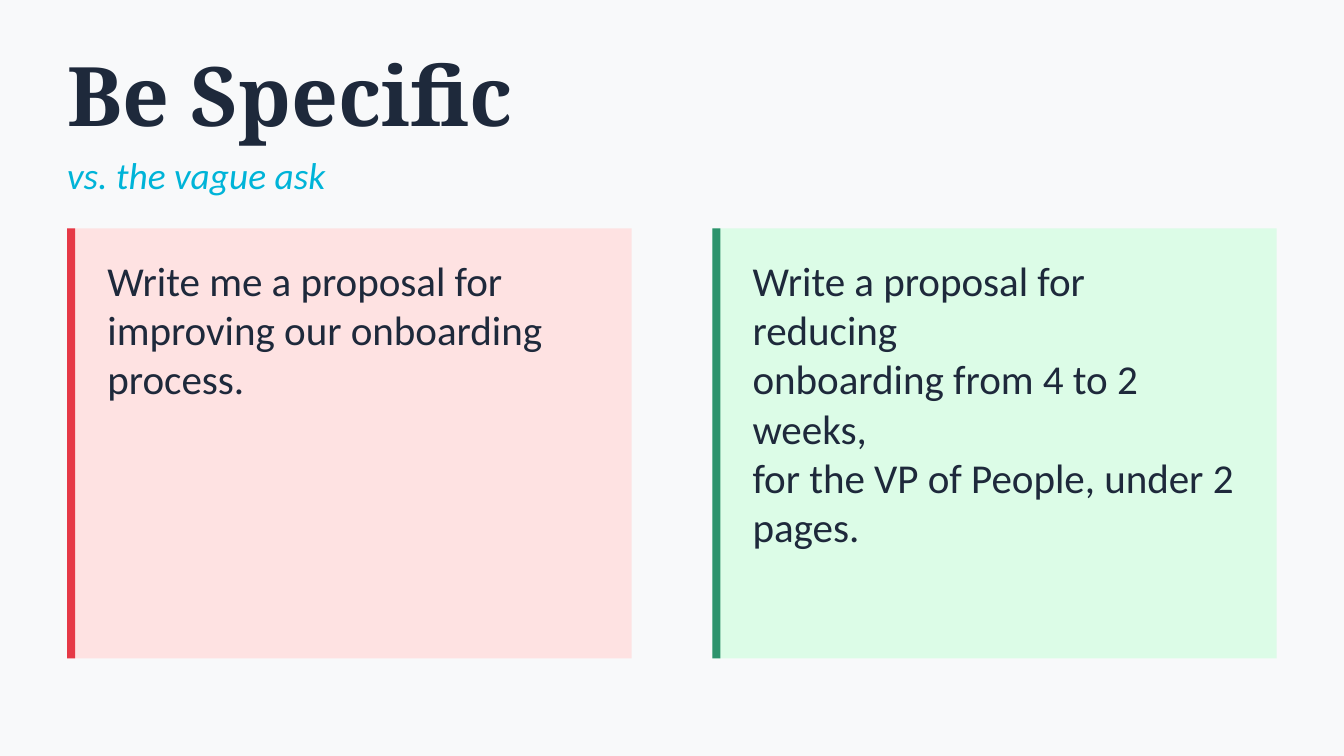
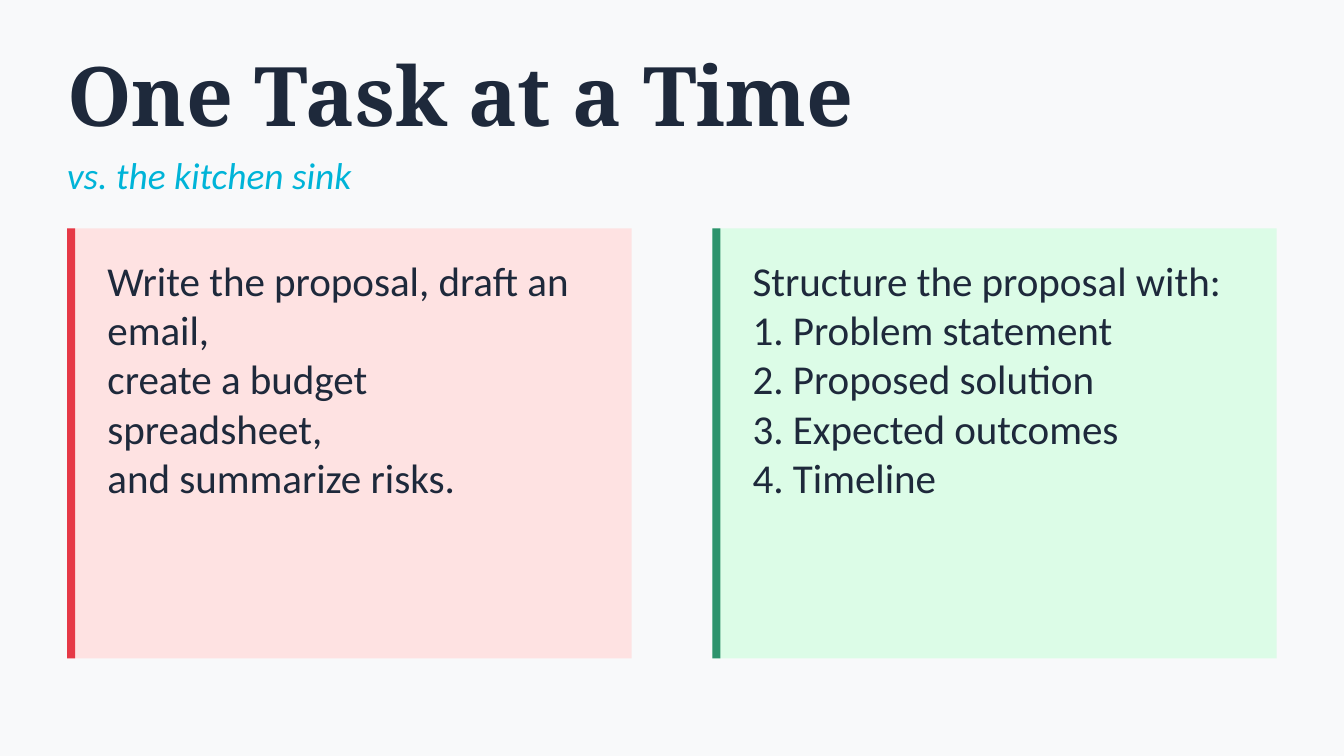
from dataclasses import dataclass

from pptx import Presentation
from pptx.dml.color import RGBColor
from pptx.enum.shapes import MSO_SHAPE
from pptx.enum.text import MSO_ANCHOR
from pptx.slide import Slide
from pptx.util import Pt

# Shared look
PAPER, INK, CYAN = "F8F9FA", "1E293B", "00B4D8"
MARGIN, WIDTH = 36, 648
TOP, CARD_W, CARD_H, GAP = 122.4, 302.4, 230.4, 43.2
BAR_W, PAD_X, PAD_Y = 4.32, 21.6, 14.4


@dataclass(frozen=True)
class Box:
    left: float
    top: float
    width: float
    height: float

    def place(self) -> tuple[Pt, Pt, Pt, Pt]:
        return Pt(self.left), Pt(self.top), Pt(self.width), Pt(self.height)


@dataclass(frozen=True)
class Style:
    font: str
    size: float
    color: str
    bold: bool = False
    italic: bool = False
    anchor: MSO_ANCHOR = MSO_ANCHOR.MIDDLE


@dataclass(frozen=True)
class Tone:
    fill: str
    bar: str


@dataclass(frozen=True)
class Lesson:
    title: str
    contrast: str
    weak: list[str]
    strong: list[str]


TITLE = Style("Noto Serif", 44, INK, bold=True)
CONTRAST = Style("Calibri", 20, CYAN, italic=True)
PROMPT = Style("Calibri", 22, INK, anchor=MSO_ANCHOR.TOP)
TITLE_BOX = Box(MARGIN, 21.6, WIDTH, 57.6)
CONTRAST_BOX = Box(MARGIN, 75.6, WIDTH, 36)
WEAK = Tone("FEE2E2", "E63946")
STRONG = Tone("DCFCE7", "2D936C")

LESSONS = [
    Lesson(
        "Be Specific",
        "vs. the vague ask",
        ["Write me a proposal for", "improving our onboarding process."],
        [
            "Write a proposal for reducing",
            "onboarding from 4 to 2 weeks,",
            "for the VP of People, under 2 pages.",
        ],
    ),
    Lesson(
        "One Task at a Time",
        "vs. the kitchen sink",
        [
            "Write the proposal, draft an email,",
            "create a budget spreadsheet,",
            "and summarize risks.",
        ],
        [
            "Structure the proposal with:",
            "1. Problem statement",
            "2. Proposed solution",
            "3. Expected outcomes",
            "4. Timeline",
        ],
    ),
]


def paint(target, color: str) -> None:
    """Give a fill one solid colour."""
    target.solid()
    target.fore_color.rgb = RGBColor.from_string(color)


def add_rect(slide: Slide, box: Box, color: str) -> None:
    shape = slide.shapes.add_shape(MSO_SHAPE.RECTANGLE, *box.place())
    shape.shadow.inherit = False
    paint(shape.fill, color)
    shape.line.fill.background()


def add_text(slide: Slide, box: Box, lines: list[str], style: Style) -> None:
    frame = slide.shapes.add_textbox(*box.place()).text_frame
    frame.word_wrap = True
    frame.vertical_anchor = style.anchor
    frame.margin_left = frame.margin_right = Pt(0)
    frame.margin_top = frame.margin_bottom = Pt(0)
    for i, line in enumerate(lines):
        para = frame.add_paragraph() if i else frame.paragraphs[0]
        run = para.add_run()
        run.text = line
        font = run.font
        font.name, font.size = style.font, Pt(style.size)
        font.bold, font.italic = style.bold, style.italic
        paint(font.fill, style.color)


def add_card(slide: Slide, column: int, lines: list[str], tone: Tone) -> None:
    left = MARGIN + column * (CARD_W + GAP)
    add_rect(slide, Box(left, TOP, CARD_W, CARD_H), tone.fill)
    add_rect(slide, Box(left, TOP, BAR_W, CARD_H), tone.bar)
    inner = Box(left + PAD_X, TOP + PAD_Y, CARD_W - 2 * PAD_X, CARD_H - 2 * PAD_Y)
    add_text(slide, inner, lines, PROMPT)


def add_lesson(deck, lesson: Lesson) -> None:
    slide = deck.slides.add_slide(deck.slide_layouts[6])
    paint(slide.background.fill, PAPER)
    # Heading
    add_text(slide, TITLE_BOX, [lesson.title], TITLE)
    add_text(slide, CONTRAST_BOX, [lesson.contrast], CONTRAST)
    # Weak and strong prompts side by side
    add_card(slide, 0, lesson.weak, WEAK)
    add_card(slide, 1, lesson.strong, STRONG)


def main() -> None:
    deck = Presentation()
    deck.slide_width, deck.slide_height = Pt(720), Pt(405)
    for lesson in LESSONS:
        add_lesson(deck, lesson)
    deck.save("out.pptx")


if __name__ == "__main__":
    main()
